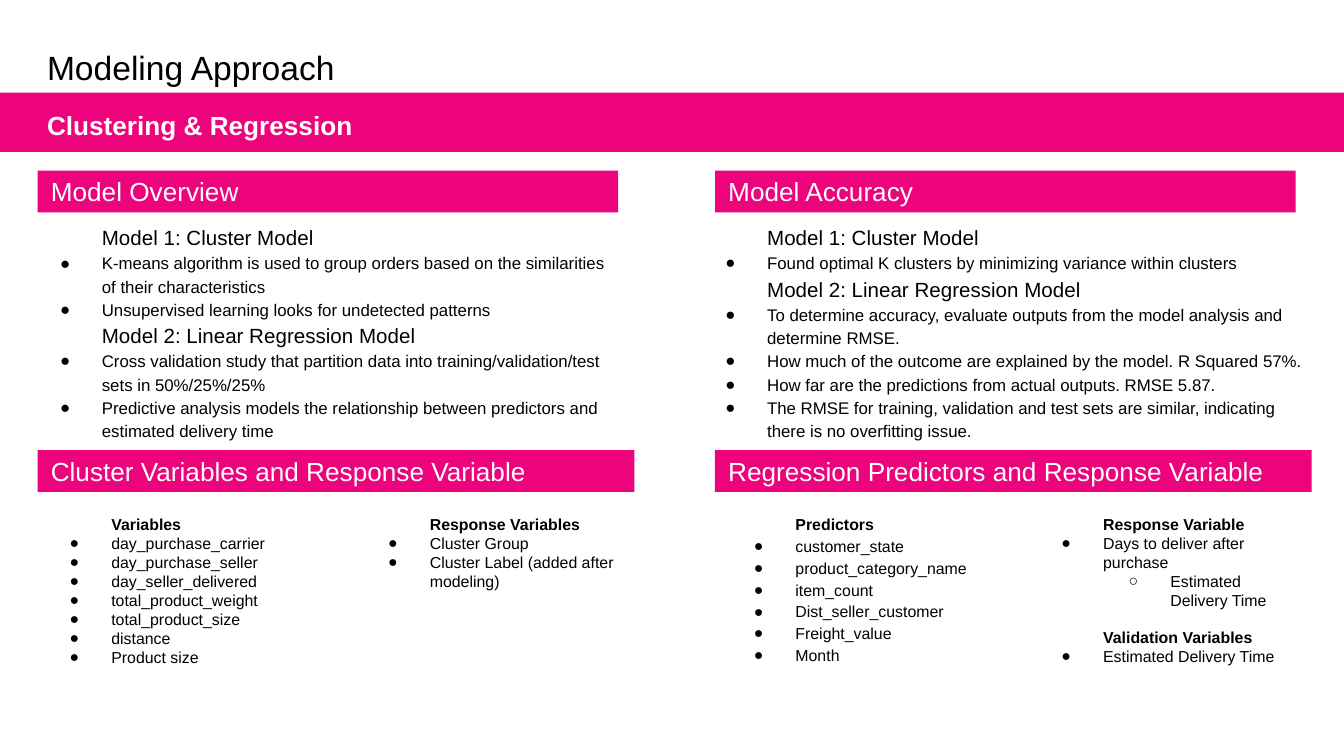
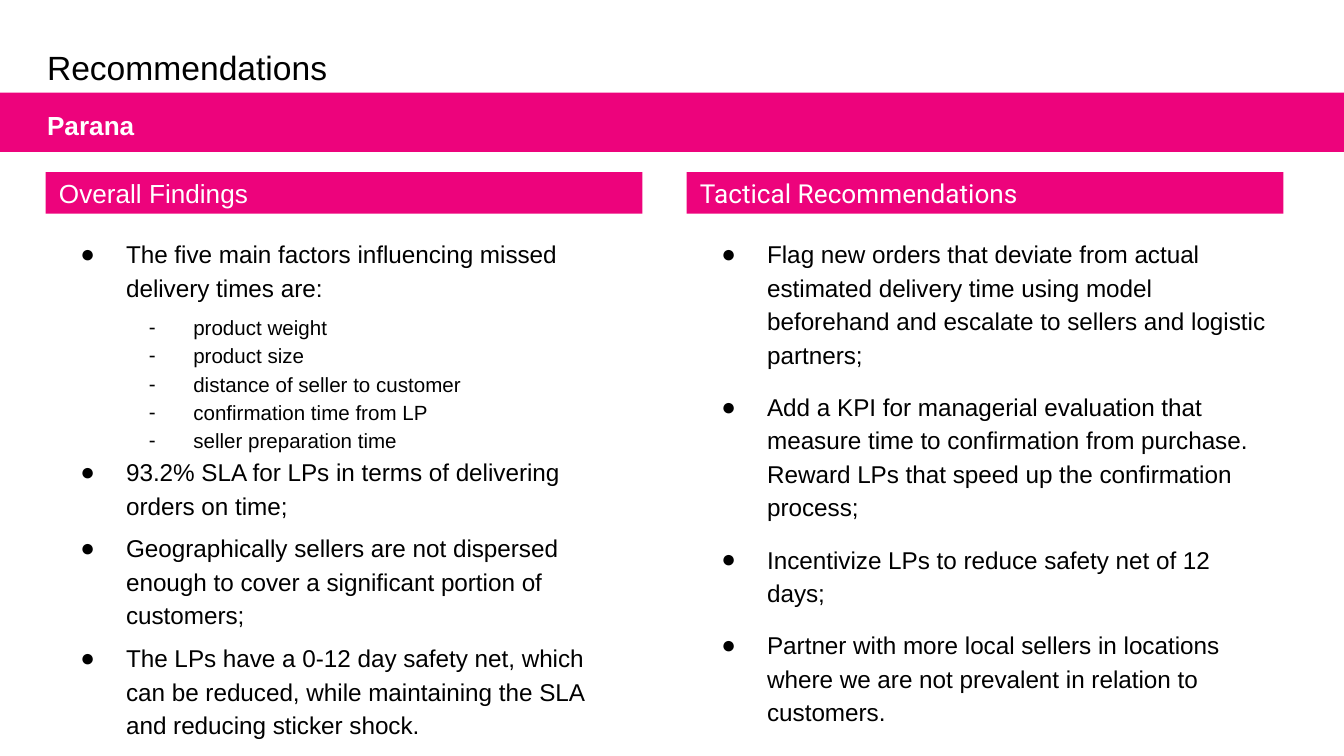
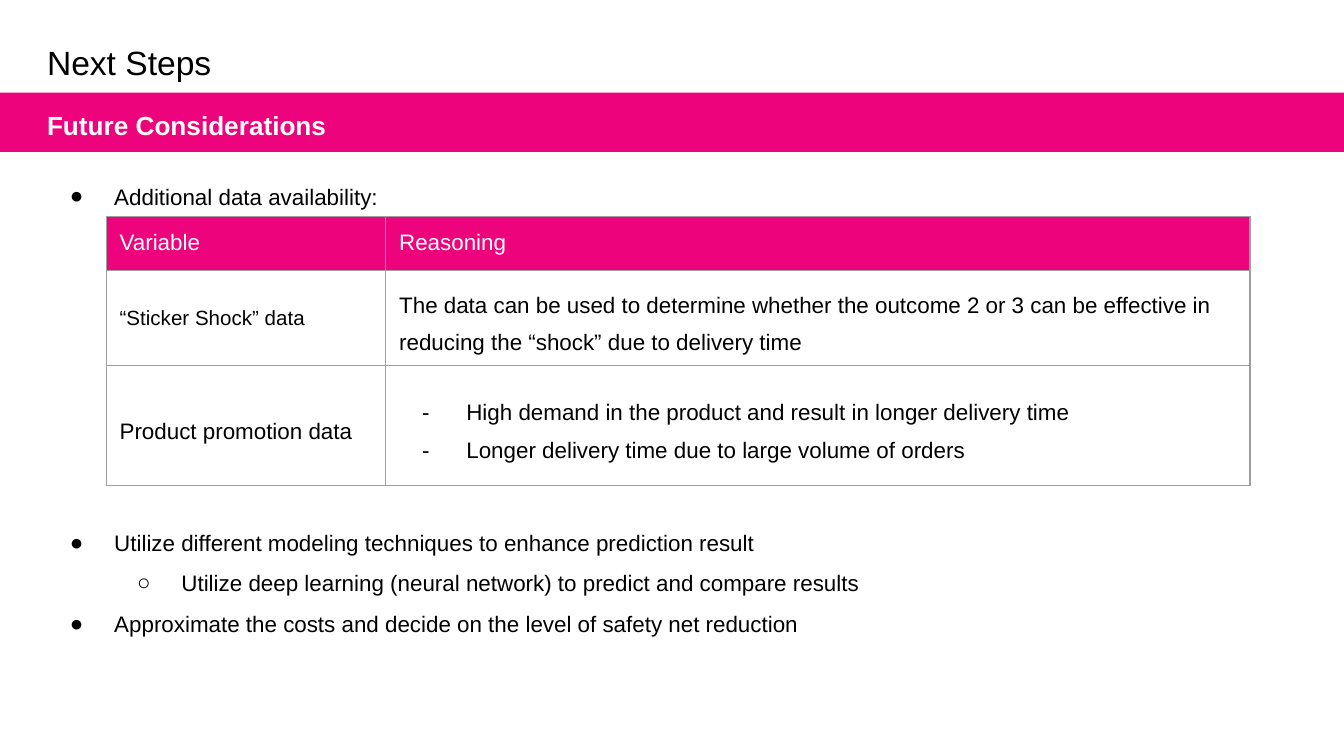
"""Build three slides on a delivery-time model, its recommendations and next steps."""
import dataclasses

import lxml.etree
import pptx
import pptx.dml.color
import pptx.enum.shapes
import pptx.enum.text
import pptx.oxml.ns
import pptx.util

Inches = pptx.util.Inches
ANCHOR = pptx.enum.text.MSO_ANCHOR


@dataclasses.dataclass(frozen=True)
class Theme:
    pink: str = "ED037C"
    white: str = "FFFFFF"
    black: str = "000000"
    grid: str = "9E9E9E"
    font: str = "Arial"
    header_font: str = "Roboto"
    title: float = 18
    heading: float = 14
    finding: float = 13
    body: float = 12
    model: float = 11
    detail: float = 9
    variable: float = 8.5


THEME = Theme()
BOX_INSETS = (0.1, 0.1, 0.1, 0.1)
TITLE_INSETS = (0.07, 0.04, 0.07, 0.04)
CELL_INSETS = (0.1, 0, 0, 0)

DETAIL = dict(size=THEME.detail, indent=0.5, hanging=0.31, bullet="●", spacing=1.15)
VARIABLE = dict(size=THEME.variable, indent=0.5, hanging=0.31, bullet="●")
FINDING = dict(size=THEME.finding, indent=0.5, hanging=0.34, bullet="●", spacing=1.15)
FACTOR = dict(size=THEME.model, indent=1, hanging=0.33, bullet="-", spacing=1.15)
STEP = dict(size=THEME.body, indent=0.5, hanging=0.33, bullet="●", spacing=1.5)
CELL = dict(size=THEME.body, spacing=1.5, before=3, after=5)
REASON = STEP | dict(bullet="-")

KINDS = {
    "title": dict(size=THEME.title),
    "subtitle": dict(size=THEME.heading, bold=True, color=THEME.white, spacing=1.15),
    "header": dict(size=THEME.heading, color=THEME.white),
    "model": dict(size=THEME.model, indent=0.5, spacing=1.15),
    "detail": DETAIL,
    "group": dict(size=THEME.variable, indent=0.5, bold=True),
    "variable": VARIABLE,
    "predictor": VARIABLE | dict(spacing=1.15),
    "subvariable": VARIABLE | dict(indent=1, bullet="○", level=1),
    "finding": FINDING,
    "spaced finding": FINDING | dict(before=5),
    "first factor": FACTOR | dict(before=5),
    "factor": FACTOR,
    "recommendation": FINDING | dict(before=10),
    "first step": STEP | dict(before=2),
    "step after table": STEP | dict(before=164),
    "step": STEP,
    "substep": STEP | dict(indent=1, bullet="○", level=1),
    "table header": dict(size=THEME.body, color=THEME.white),
    "short cell": dict(size=THEME.model),
    "cell": CELL,
    "first reason": REASON | dict(before=3),
    "last reason": REASON | dict(after=12),
}

MODELING = dict(
    title="Modeling Approach",
    subtitle="Clustering & Regression",
    headers=[
        ("Model Overview", (0.28, 1.27, 4.32, 0.31), THEME.font),
        ("Model Accuracy", (5.32, 1.27, 4.32, 0.31), THEME.font),
        ("Cluster Variables and Response Variable", (0.28, 3.35, 4.44, 0.31), THEME.font),
        ("Regression Predictors and Response Variable", (5.32, 3.35, 4.44, 0.31), THEME.font),
    ],
    texts=[
        ((0.16, 1.55, 4.44, 1.75), [
            ("model", "Model 1: Cluster Model"),
            ("detail", "K-means algorithm is used to group orders based on the similarities of their characteristics"),
            ("detail", "Unsupervised learning looks for undetected patterns"),
            ("model", "Model 2: Linear Regression Model"),
            ("detail", "Cross validation study that partition data into training/validation/test sets in 50%/25%/25%"),
            ("detail", "Predictive analysis models the relationship between predictors and estimated delivery time"),
        ]),
        ((5.11, 1.55, 4.76, 1.64), [
            ("model", "Model 1: Cluster Model"),
            ("detail", "Found optimal K clusters by minimizing variance within clusters"),
            ("model", "Model 2: Linear Regression Model"),
            ("detail", "To determine accuracy, evaluate outputs from the model analysis and determine RMSE."),
            ("detail", "How much of the outcome are explained by the model. R Squared 57%."),
            ("detail", "How far are the predictions from actual outputs. RMSE 5.87."),
            ("detail", "The RMSE for training, validation and test sets are similar, indicating there is no overfitting issue."),
        ]),
        ((0.23, 3.73, 2.55, 1.64), [
            ("group", "Variables"),
            ("variable", "day_purchase_carrier"),
            ("variable", "day_purchase_seller"),
            ("variable", "day_seller_delivered"),
            ("variable", "total_product_weight"),
            ("variable", "total_product_size"),
            ("variable", "distance"),
            ("variable", "Product size"),
        ]),
        ((2.6, 3.73, 2.11, 1.19), [
            ("group", "Response Variables"),
            ("variable", "Cluster Group"),
            ("variable", "Cluster Label (added after modeling)"),
        ]),
        ((5.32, 3.73, 2.55, 1.64), [
            ("group", "Predictors"),
            ("predictor", "customer_state"),
            ("predictor", "product_category_name"),
            ("predictor", "item_count"),
            ("predictor", "Dist_seller_customer"),
            ("predictor", "Freight_value"),
            ("predictor", "Month"),
        ]),
        ((7.61, 3.73, 2.03, 0.71), [
            ("group", "Response Variable"),
            ("variable", "Days to deliver after purchase"),
            ("subvariable", "Estimated Delivery Time"),
        ]),
        ((7.61, 4.57, 2.03, 0.71), [
            ("group", "Validation Variables"),
            ("variable", "Estimated Delivery Time"),
        ]),
    ],
)

RECOMMENDATIONS = dict(
    title="Recommendations",
    subtitle="Parana",
    headers=[
        ("Overall Findings", (0.34, 1.28, 4.44, 0.31), THEME.font),
        ("Tactical Recommendations", (5.11, 1.28, 4.44, 0.31), THEME.header_font),
    ],
    texts=[
        ((0.34, 1.65, 4.43, 3.91), [
            ("finding", "The five main factors influencing missed delivery times are:"),
            ("first factor", "product weight"),
            ("factor", "product size"),
            ("factor", "distance of seller to customer"),
            ("factor", "confirmation time from LP"),
            ("factor", "seller preparation time"),
            ("finding", "93.2% SLA for LPs in terms of delivering orders on time;"),
            ("spaced finding", "Geographically sellers are not dispersed enough to cover a significant portion of customers;"),
            ("spaced finding", "The LPs have a 0-12 day safety net, which can be reduced, while maintaining the SLA and reducing sticker shock."),
        ]),
        ((5.11, 1.65, 4.44, 3.44), [
            ("finding", "Flag new orders that deviate from actual estimated delivery time using model beforehand and escalate to sellers and logistic partners;"),
            ("recommendation", "Add a KPI for managerial evaluation that measure time to confirmation from purchase. Reward LPs that speed up the confirmation process;"),
            ("recommendation", "Incentivize LPs to reduce safety net of 12 days;"),
            ("recommendation", "Partner with more local sellers in locations where we are not prevalent in relation to customers."),
        ]),
    ],
)

NEXT_STEPS = dict(
    title="Next Steps",
    subtitle="Future Considerations",
    title_anchor=ANCHOR.MIDDLE,
    text_insets=TITLE_INSETS,
    texts=[
        ((0.28, 1.22, 9.45, 3.9), [
            ("first step", "Additional data availability:"),
            ("step after table", "Utilize different modeling techniques to enhance prediction result"),
            ("substep", "Utilize deep learning (neural network) to predict and compare results"),
            ("step", "Approximate the costs and decide on the level of safety net reduction"),
        ]),
    ],
)

TABLE_ORIGIN = (0.79, 1.61)
COLUMN_WIDTHS = (2.08, 6.43)
ROW_HEIGHTS = (0.4, 0.71, 0.89)
DATA_ROWS = [
    [[("table header", "Variable")], [("table header", "Reasoning")]],
    [
        [("short cell", "“Sticker Shock” data")],
        [("cell", "The data can be used to determine whether the outcome 2 or 3 can be effective in reducing the “shock” due to delivery time")],
    ],
    [
        [("cell", "Product promotion data")],
        [
            ("first reason", "High demand in the product and result in longer delivery time"),
            ("last reason", "Longer delivery time due to large volume of orders"),
        ],
    ],
]


def rgb(color):
    return pptx.dml.color.RGBColor.from_string(color)


def add_element(parent, tag, **attributes):
    return lxml.etree.SubElement(parent, pptx.oxml.ns.qn(tag), **attributes)


def format_text(paragraph, text, *, size, color=THEME.black, font=THEME.font, bold=False,
                indent=0, hanging=0, bullet=None, spacing=1.0, before=0, after=0, level=0):
    run = paragraph.add_run()
    run.text = text
    run.font.name = font
    run.font.size = pptx.util.Pt(size)
    run.font.bold = bold
    run.font.color.rgb = rgb(color)
    paragraph.alignment = pptx.enum.text.PP_ALIGN.LEFT
    paragraph.level = level
    paragraph.line_spacing = spacing
    paragraph.space_before = pptx.util.Pt(before)
    paragraph.space_after = pptx.util.Pt(after)
    properties = paragraph._p.get_or_add_pPr()
    properties.set("marL", str(Inches(indent)))
    properties.set("indent", str(Inches(-hanging)))
    if bullet:
        add_element(add_element(properties, "a:buClr"), "a:srgbClr", val=color)
        add_element(properties, "a:buFont", typeface=THEME.font)
        add_element(properties, "a:buChar", char=bullet)


def write(frame, paragraphs, **overrides):
    for index, (kind, text) in enumerate(paragraphs):
        paragraph = frame.add_paragraph() if index else frame.paragraphs[0]
        format_text(paragraph, text, **(KINDS[kind] | overrides))


def set_insets(target, insets):
    sides = ("left", "top", "right", "bottom")
    for side, inset in zip(sides, insets):
        setattr(target, f"margin_{side}", Inches(inset))


def fill_frame(shape, paragraphs, insets, anchor, **overrides):
    frame = shape.text_frame
    frame.word_wrap = True
    frame.vertical_anchor = anchor
    set_insets(frame, insets)
    write(frame, paragraphs, **overrides)


def add_text_box(slide, box, paragraphs, insets=BOX_INSETS, anchor=ANCHOR.TOP):
    shape = slide.shapes.add_textbox(*map(Inches, box))
    fill_frame(shape, paragraphs, insets, anchor)


def add_band(slide, box):
    rectangle = pptx.enum.shapes.MSO_SHAPE.RECTANGLE
    shape = slide.shapes.add_shape(rectangle, *map(Inches, box))
    shape.shadow.inherit = False
    shape.fill.solid()
    shape.fill.fore_color.rgb = rgb(THEME.pink)
    shape.line.fill.background()
    return shape


def add_slide(presentation, content):
    slide = presentation.slides.add_slide(presentation.slide_layouts[6])
    add_band(slide, (0, 0.69, 10, 0.44))
    add_text_box(slide, (0.28, 0.23, 7.88, 0.46), [("title", content["title"])],
                 TITLE_INSETS, content.get("title_anchor", ANCHOR.BOTTOM))
    add_text_box(slide, (0.28, 0.69, 7.88, 0.44), [("subtitle", content["subtitle"])],
                 TITLE_INSETS, ANCHOR.MIDDLE)
    for text, box, font in content.get("headers", []):
        fill_frame(add_band(slide, box), [("header", text)], BOX_INSETS, ANCHOR.MIDDLE, font=font)
    for box, paragraphs in content["texts"]:
        add_text_box(slide, box, paragraphs, content.get("text_insets", BOX_INSETS))
    return slide


def add_borders(cell):
    properties = cell._tc.get_or_add_tcPr()
    for index, tag in enumerate(("a:lnL", "a:lnR", "a:lnT", "a:lnB")):
        line = add_element(properties, tag, w=str(pptx.util.Pt(0.75)))
        add_element(add_element(line, "a:solidFill"), "a:srgbClr", val=THEME.grid)
        properties.insert(index, line)


def add_data_table(slide):
    size = (sum(COLUMN_WIDTHS), sum(ROW_HEIGHTS))
    table = slide.shapes.add_table(
        len(ROW_HEIGHTS), len(COLUMN_WIDTHS), *map(Inches, TABLE_ORIGIN + size)).table
    table.first_row = table.horz_banding = False
    for column, width in zip(table.columns, COLUMN_WIDTHS):
        column.width = Inches(width)
    for row_index, (row, height, contents) in enumerate(zip(table.rows, ROW_HEIGHTS, DATA_ROWS)):
        row.height = Inches(height)
        for cell, paragraphs in zip(row.cells, contents):
            if row_index == 0:
                cell.fill.solid()
                cell.fill.fore_color.rgb = rgb(THEME.pink)
            else:
                cell.fill.background()
            cell.vertical_anchor = ANCHOR.MIDDLE if row_index else ANCHOR.TOP
            set_insets(cell, CELL_INSETS if row_index else BOX_INSETS)
            add_borders(cell)
            write(cell.text_frame, paragraphs)


def main():
    presentation = pptx.Presentation()
    presentation.slide_width = Inches(10)
    presentation.slide_height = presentation.slide_width * 9 // 16
    add_slide(presentation, MODELING)
    add_slide(presentation, RECOMMENDATIONS)
    add_data_table(add_slide(presentation, NEXT_STEPS))
    presentation.save("out.pptx")


if __name__ == "__main__":
    main()
